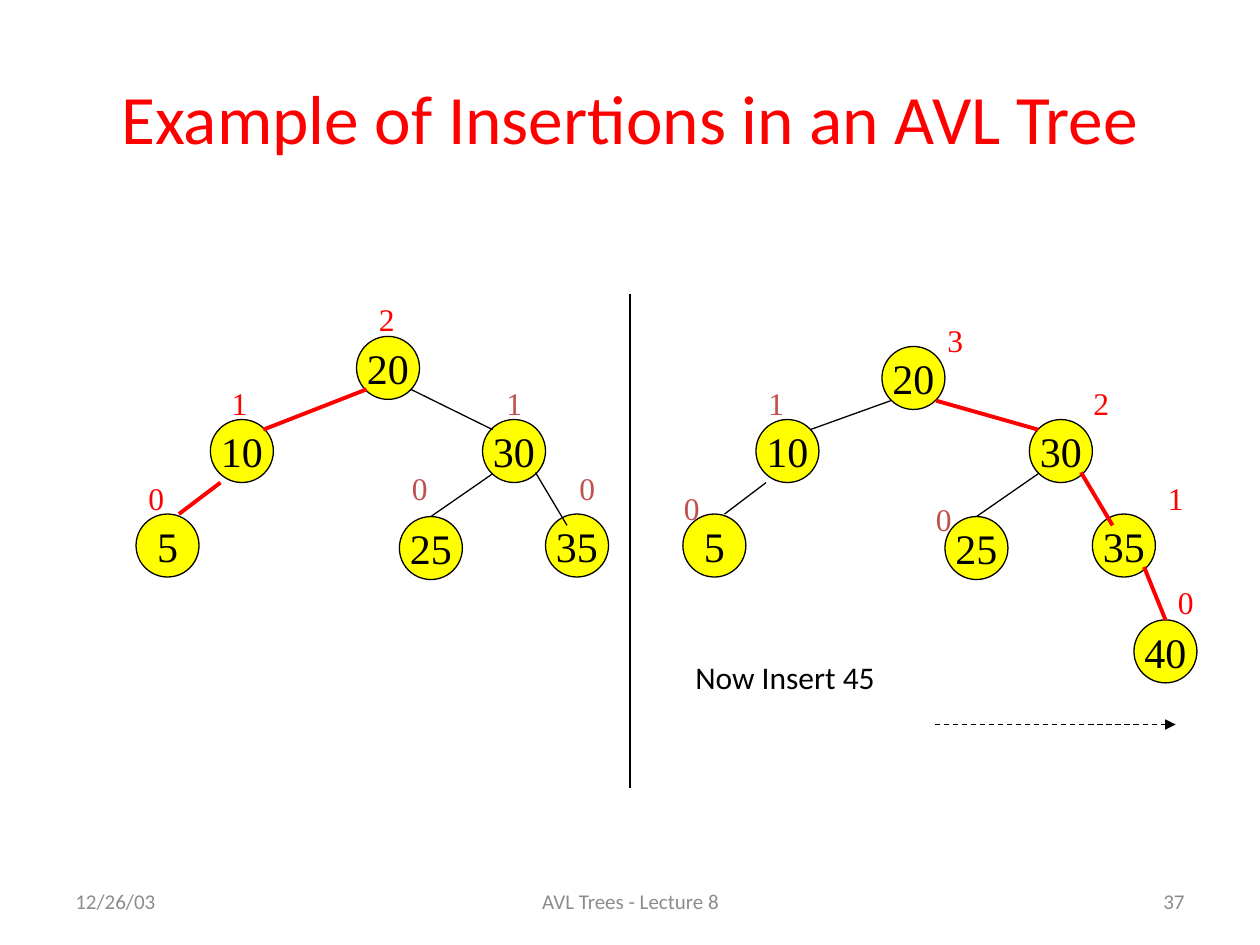
from pptx import Presentation
from pptx.dml.color import RGBColor
from pptx.enum.dml import MSO_LINE
from pptx.enum.shapes import MSO_CONNECTOR, MSO_SHAPE
from pptx.enum.text import MSO_ANCHOR as ANCHOR, MSO_AUTO_SIZE as FIT, PP_ALIGN as ALIGN
from pptx.oxml.ns import qn
from pptx.util import Inches, Pt
from lxml.etree import SubElement

SANS, SERIF = "Calibri", "Times New Roman"
RED, BROWN, BLACK, YELLOW, GRAY = "FF0000", "C0504D", "000000", "FFFF00", "8C8C8C"
NODE = 0.5

LEFT_TREE = {
    "nodes": [("20", 2.83, 2.67), ("10", 1.67, 3.33), ("30", 3.83, 3.33),
              ("5", 1.08, 4.08), ("25", 3.17, 4.1), ("35", 4.33, 4.08)],
    "edges": [(3.26, 3.09, 3.91, 3.41), (3.91, 3.76, 3.42, 4.1), (4.25, 3.75, 4.5, 4.17)],
    "path_edges": [(2.91, 3.09, 2.09, 3.41), (1.75, 3.83, 1.42, 4.08)],
    "heights": [("1", 3.92, 3), ("0", 3.17, 3.67), ("0", 4.5, 3.67)],
    "path_heights": [("2", 2.91, 2.33), ("1", 1.74, 3), ("0", 1.08, 3.75)],
}
RIGHT_TREE = {
    "nodes": [("20", 7, 2.75), ("10", 6, 3.33), ("30", 8.17, 3.33), ("5", 5.42, 4.08),
              ("25", 7.5, 4.1), ("35", 8.67, 4.08), ("40", 9, 4.92)],
    "edges": [(7.07, 3.18, 6.43, 3.41), (8.24, 3.76, 7.75, 4.1), (6.08, 3.83, 5.75, 4.08)],
    "path_edges": [(7.43, 3.18, 8.24, 3.41), (8.58, 3.75, 8.83, 4.17),
                   (9.08, 4.5, 9.25, 4.92)],
    "heights": [("1", 6, 3), ("0", 5.33, 3.83), ("0", 7.33, 3.92)],
    "path_heights": [("3", 7.42, 2.5), ("2", 8.58, 3), ("1", 9.17, 3.75), ("0", 9.25, 4.58)],
}


def rgb(color):
    """Turn a hex string into a colour."""
    return RGBColor.from_string(color)


def add_run(p, text, size, font, color):
    """Add one formatted run to a paragraph."""
    r = p.add_run()
    r.text = text
    r.font.size = Pt(size)
    r.font.name = font
    r.font.color.rgb = rgb(color)


def add_text(s, text, x, y, w, h, size, font=SANS, color=BLACK,
             align=ALIGN.LEFT, anchor=ANCHOR.TOP, wrap=True):
    """Add a text box with one line of text."""
    tf = s.shapes.add_textbox(Inches(x), Inches(y), Inches(w), Inches(h)).text_frame
    tf.auto_size = FIT.NONE
    tf.word_wrap = wrap
    tf.vertical_anchor = anchor
    p = tf.paragraphs[0]
    p.alignment = align
    add_run(p, text, size, font, color)


def add_line(s, x1, y1, x2, y2, color=BLACK, width=0.75):
    """Add a straight line without a shadow."""
    sp = s.shapes.add_connector(MSO_CONNECTOR.STRAIGHT,
                                Inches(x1), Inches(y1), Inches(x2), Inches(y2))
    sp.line.color.rgb = rgb(color)
    sp.line.width = Pt(width)
    SubElement(sp._element.spPr, qn("a:effectLst"))
    return sp


def add_dashed_arrow(s, x1, y1, x2, y2):
    """Add a dashed line with an arrowhead at its end."""
    sp = add_line(s, x1, y1, x2, y2)
    sp.line.dash_style = MSO_LINE.DASH
    SubElement(sp.line._get_or_add_ln(), qn("a:tailEnd"), type="triangle")


def add_node(s, value, x, y):
    """Add a tree node with its key."""
    sp = s.shapes.add_shape(MSO_SHAPE.OVAL, Inches(x), Inches(y), Inches(NODE), Inches(NODE))
    sp.shadow.inherit = False
    sp.fill.solid()
    sp.fill.fore_color.rgb = rgb(YELLOW)
    sp.line.color.rgb = rgb(BLACK)
    sp.line.width = Pt(0.75)
    tf = sp.text_frame
    tf.word_wrap = False
    tf.vertical_anchor = ANCHOR.MIDDLE
    p = tf.paragraphs[0]
    p.alignment = ALIGN.CENTER
    add_run(p, value, 24, SERIF, BLACK)


def add_height(s, value, x, y, color):
    """Add the height label of a node."""
    add_text(s, value, x, y, 0.34, 0.43, 18, SERIF, color, wrap=False)


def add_tree(s, tree):
    """Add the nodes, edges and height labels of one tree."""
    for node in tree["nodes"]:
        add_node(s, *node)
    for edge in tree["edges"]:
        add_line(s, *edge)
    for edge in tree["path_edges"]:
        add_line(s, *edge, RED, 2.25)
    for height in tree["heights"]:
        add_height(s, *height, BROWN)
    for height in tree["path_heights"]:
        add_height(s, *height, RED)


def add_footer(s):
    """Add the date, lecture name and slide number."""
    for text, x, w, align in [("12/26/03", 0.5, 2.33, ALIGN.LEFT),
                              ("AVL Trees - Lecture 8", 3.42, 3.17, ALIGN.CENTER),
                              ("37", 7.17, 2.33, ALIGN.RIGHT)]:
        add_text(s, text, x, 6.95, w, 0.4, 12, SANS, GRAY, align, ANCHOR.MIDDLE)


def main():
    """Build the slide and save it."""
    prs = Presentation()
    prs.slide_width, prs.slide_height = Inches(10), Inches(7.5)
    s = prs.slides.add_slide(prs.slide_layouts[6])
    add_footer(s)
    add_text(s, "Example of Insertions in an AVL Tree", 0.5, 0.3, 9, 1.25, 39.6,
             SANS, RED, ALIGN.CENTER, ANCHOR.MIDDLE)
    add_tree(s, LEFT_TREE)
    add_tree(s, RIGHT_TREE)
    add_text(s, "Now Insert 45", 5.42, 5.17, 1.92, 0.43, 18)
    add_line(s, 5, 2.33, 5, 6.25)
    add_dashed_arrow(s, 7.42, 5.75, 9.33, 5.75)
    prs.save("out.pptx")


if __name__ == "__main__":
    main()
